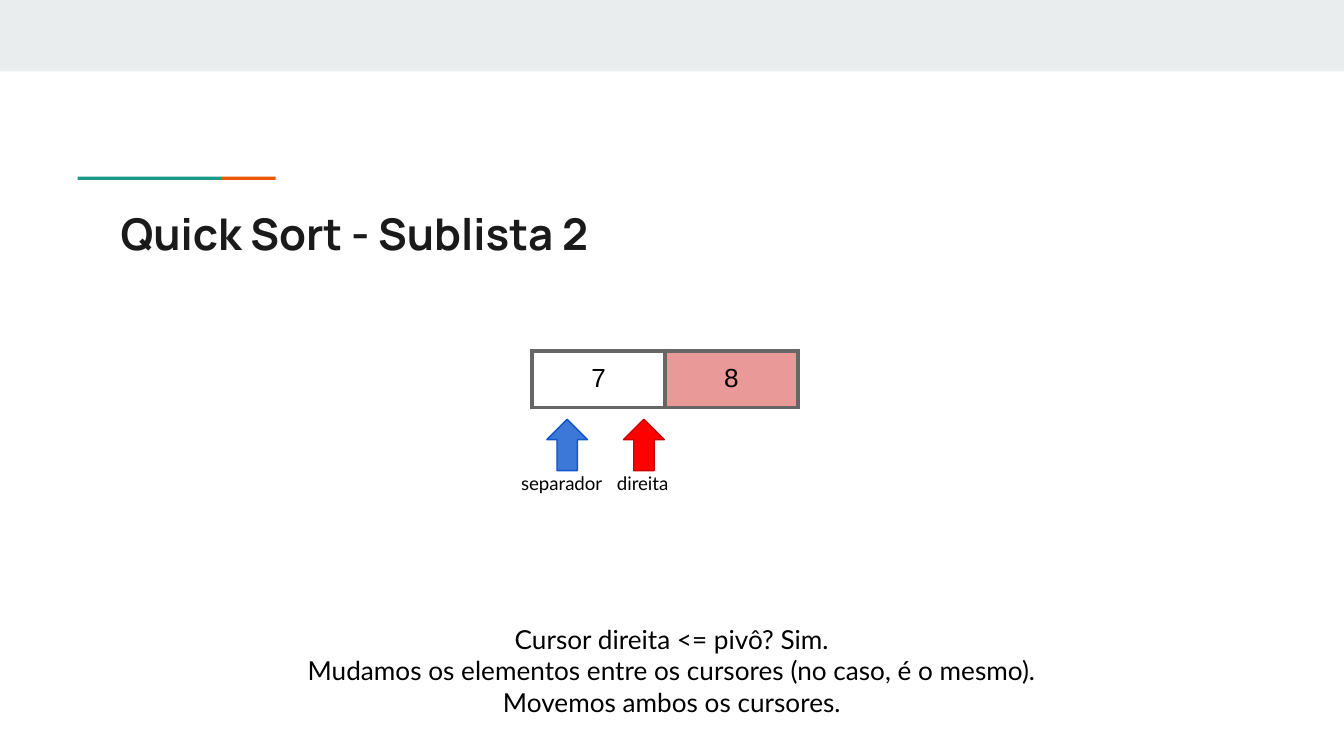
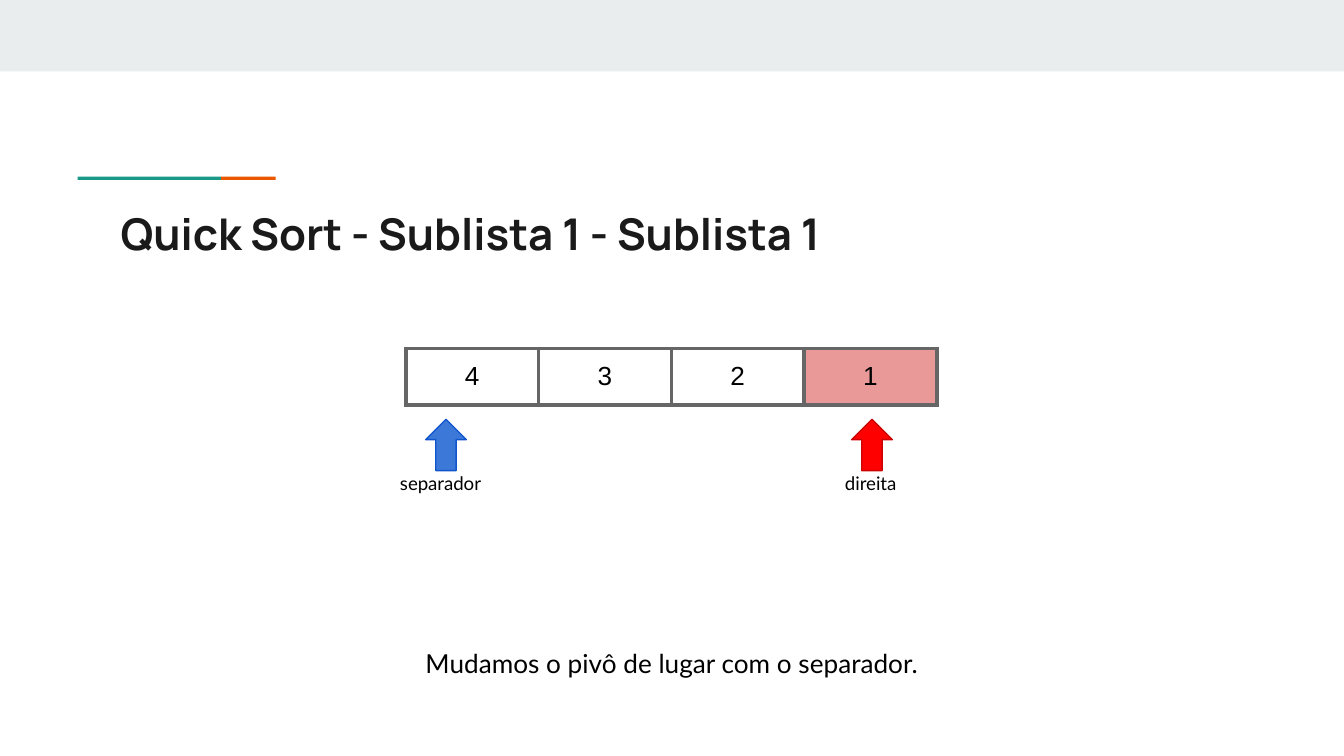
from lxml.etree import SubElement
from pptx import Presentation
from pptx.dml.color import RGBColor as Rgb
from pptx.enum.shapes import MSO_SHAPE as Preset
from pptx.enum.text import MSO_ANCHOR as Anchor, MSO_AUTO_SIZE as AutoSize, PP_ALIGN as Align
from pptx.oxml.ns import qn
from pptx.util import Cm, Pt

COLORS = {
    "band": "E9EDEE",
    "green": "1A9988",
    "orange": "EB5600",
    "title": "1A1A1A",
    "text": "000000",
    "border": "666666",
    "pivot": "EA9999",
    "separator": "3C78D8",
    "separator_line": "1155CC",
    "right": "FF0000",
    "right_line": "CC0000",
}
INSET = Cm(0.25)
CELL_WIDTH, CELL_HEIGHT = 2.51, 1.07
ARROW_LENGTH, ARROW_WIDTH, ARROW_MIDDLE = 0.97, 0.77, 8.41
LABEL_TOP, LABEL_HEIGHT = 8.71, 0.94


def color(name):
    return Rgb.from_string(COLORS[name])


def write(frame, text, font="Lato", size=14, ink="text", bold=False,
          align=Align.LEFT, anchor=Anchor.TOP):
    frame.word_wrap = True
    frame.vertical_anchor = anchor
    frame.margin_left = frame.margin_right = INSET
    frame.margin_top = frame.margin_bottom = INSET
    for index, line in enumerate(text.split("\n")):
        para = frame.paragraphs[0] if index == 0 else frame.add_paragraph()
        para.alignment = align
        span = para.add_run()
        span.text = line
        span.font.name = font
        span.font.size = Pt(size)
        span.font.bold = bold
        span.font.color.rgb = color(ink)


def add_preset(page, preset, left, top, width, height, fill, line=None):
    shape = page.shapes.add_shape(preset, Cm(left), Cm(top), Cm(width), Cm(height))
    shape.shadow.inherit = False
    shape.fill.solid()
    shape.fill.fore_color.rgb = color(fill)
    if line:
        shape.line.color.rgb = color(line)
        shape.line.width = Pt(0.75)
    else:
        shape.line.fill.background()
    return shape


def add_text(page, left, top, width, height, text, **style):
    box = page.shapes.add_textbox(Cm(left), Cm(top), Cm(width), Cm(height))
    write(box.text_frame, text, **style)
    box.text_frame.auto_size = AutoSize.SHAPE_TO_FIT_TEXT


def add_page(deck, heading):
    page = deck.slides.add_slide(deck.slide_layouts[5])
    add_preset(page, Preset.RECTANGLE, 0, 0, 25.4, 1.35, "band")
    add_preset(page, Preset.RECTANGLE, 1.47, 3.34, 2.71, 0.06, "green")
    add_preset(page, Preset.RECTANGLE, 4.18, 3.34, 1.03, 0.06, "orange")
    title = page.shapes.title
    title.left, title.top, title.width, title.height = Cm(2.03), Cm(3.66), Cm(21.36), Cm(1.5)
    write(title.text_frame, heading, font="Manrope", size=23.4, ink="title", bold=True)
    title.text_frame.auto_size = AutoSize.NONE
    return page


def add_border(cell):
    properties = cell._tc.get_or_add_tcPr()
    for index, side in enumerate(("lnL", "lnR", "lnT", "lnB")):
        line = SubElement(properties, qn(f"a:{side}"), w=str(Pt(2.25)))
        fill = SubElement(line, qn("a:solidFill"))
        SubElement(fill, qn("a:srgbClr"), val=COLORS["border"])
        properties.insert(index, line)


def add_list(page, left, top, values):
    count = len(values)
    frame = page.shapes.add_table(1, count, Cm(left), Cm(top),
                                  Cm(CELL_WIDTH * count), Cm(CELL_HEIGHT))
    table = frame.table
    table.first_row = table.horz_banding = False
    for index, value in enumerate(values):
        table.columns[index].width = Cm(CELL_WIDTH)
        cell = table.cell(0, index)
        write_cell(cell, str(value))
        if index == count - 1:
            cell.fill.solid()
            cell.fill.fore_color.rgb = color("pivot")
        else:
            cell.fill.background()
        add_border(cell)


def write_cell(cell, text):
    cell.margin_left = cell.margin_right = INSET
    cell.margin_top = cell.margin_bottom = INSET
    para = cell.text_frame.paragraphs[0]
    para.alignment = Align.CENTER
    span = para.add_run()
    span.text = text
    span.font.name = "Arial"
    span.font.size = Pt(14)
    span.font.color.rgb = color("text")


def add_cursor(page, center, label, fill, label_offset, label_width):
    arrow = add_preset(page, Preset.RIGHT_ARROW, center - ARROW_LENGTH / 2,
                       ARROW_MIDDLE - ARROW_WIDTH / 2, ARROW_LENGTH, ARROW_WIDTH,
                       fill, f"{fill}_line")
    arrow.rotation = 270
    add_text(page, center - label_offset, LABEL_TOP, label_width, LABEL_HEIGHT,
             label, size=10)


def add_step(deck, heading, values, table_at, separator, right, note, note_top, note_height):
    page = add_page(deck, heading)
    add_list(page, *table_at, values)
    add_cursor(page, separator, "separador", "separator", 1.12, 2.11)
    add_cursor(page, right, "direita", "right", 0.76, 1.53)
    add_text(page, 4.53, note_top, 16.34, note_height, note, align=Align.CENTER)


def main():
    deck = Presentation()
    deck.slide_width, deck.slide_height = Cm(25.4), Cm(14.29)
    add_step(deck, "Quick Sort - Sublista 2", [7, 8], (10.06, 6.63), 10.72, 12.17,
             "Cursor direita <= pivô? Sim.\n"
             "Mudamos os elementos entre os cursores (no caso, é o mesmo).\n"
             "Movemos ambos os cursores.", 11.53, 2.31)
    add_step(deck, "Quick Sort - Sublista 1 - Sublista 1", [4, 3, 2, 1], (7.67, 6.59),
             8.43, 16.48, "Mudamos o pivô de lugar com o separador.", 11.99, 1.12)
    deck.save("out.pptx")


if __name__ == "__main__":
    main()
